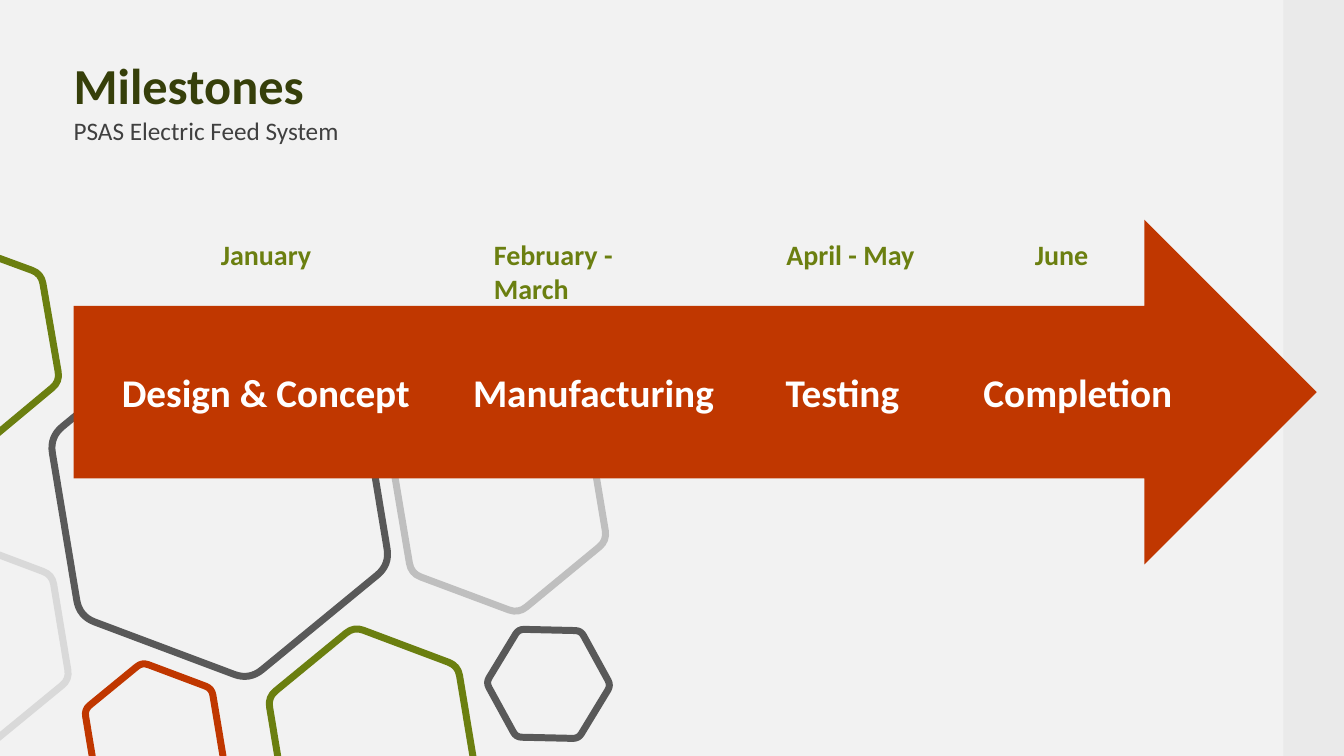
from math import cos, pi, sin, sqrt

from lxml.etree import SubElement
from pptx import Presentation
from pptx.dml.color import RGBColor
from pptx.enum.shapes import MSO_SHAPE
from pptx.enum.text import MSO_ANCHOR, PP_ALIGN
from pptx.oxml.ns import qn
from pptx.util import Inches, Pt

FONT = "Calibri"
BACKGROUND = RGBColor(0xF2, 0xF2, 0xF2)
STRIP = RGBColor(0xEA, 0xEA, 0xEA)
RUST = RGBColor(0xC0, 0x37, 0x00)
OLIVE = RGBColor(0x6B, 0x7F, 0x10)
DARK_OLIVE = RGBColor(0x36, 0x3F, 0x0A)
CHARCOAL = RGBColor(0x40, 0x40, 0x40)
DARK_GRAY = RGBColor(0x59, 0x59, 0x59)
EDGE_GRAY = RGBColor(0xA6, 0xA6, 0xA6)
MID_GRAY = RGBColor(0xBF, 0xBF, 0xBF)
LIGHT_GRAY = RGBColor(0xD9, 0xD9, 0xD9)
WHITE = RGBColor(0xFF, 0xFF, 0xFF)

CORNER = 0.09  # rounded part of each side, as a share of the side

# left, top, width, height, rotation, colour
BACK_HEXAGONS = [
    (3.83, 3.98, 2.25, 1.97, 20.5, MID_GRAY),
    (0.4, 3.41, 3.56, 3.12, 20.6, DARK_GRAY),
]
FRONT_HEXAGONS = [
    (2.6, 6.35, 2.18, 1.91, 20.6, OLIVE),
    (4.83, 6.25, 1.22, 1.07, 61.3, DARK_GRAY),
    (0.8, 6.66, 1.46, 1.28, 20.6, RUST),
    (-1.33, 5.46, 2.07, 1.82, 20.6, LIGHT_GRAY),
    (-1.5, 2.47, 2.15, 1.88, 20.2, OLIVE),
]
# text, left, width
PHASES = [
    ("Design & Concept", 1.09, 3.09),
    ("Manufacturing", 4.59, 2.59),
    ("Testing", 7.47, 1.77),
    ("Completion", 9.59, 2.2),
]
# text, left, width, alignment, left margin
DATES = [
    ("January", 1.4, 2.64, PP_ALIGN.LEFT, 0.79),
    ("February - March", 4.8, 2.1, PP_ALIGN.LEFT, 0.1),
    ("April - May", 7.7, 1.69, PP_ALIGN.LEFT, 0.1),
    ("June", 10.08, 0.9, PP_ALIGN.CENTER, 0.1),
]


def add_text(slide, text, left, top, width, height, *, size, color, bold=False,
             align=PP_ALIGN.LEFT, anchor=MSO_ANCHOR.TOP, margins=(0.1, 0.05, 0.1, 0.05),
             line_spacing=1.0):
    """Add a one-paragraph text box; margins are left, top, right, bottom."""
    sp = slide.shapes.add_textbox(Inches(left), Inches(top), Inches(width), Inches(height))
    tf = sp.text_frame
    tf.word_wrap = True
    tf.vertical_anchor = anchor
    tf.margin_left, tf.margin_top, tf.margin_right, tf.margin_bottom = map(Inches, margins)
    p = tf.paragraphs[0]
    p.alignment = align
    p.line_spacing = line_spacing
    r = p.add_run()
    r.text = text
    r.font.name = FONT
    r.font.size = Pt(size)
    r.font.bold = bold
    r.font.color.rgb = color


def add_filled_shape(slide, kind, left, top, width, height, color):
    sp = slide.shapes.add_shape(kind, Inches(left), Inches(top), Inches(width), Inches(height))
    sp.shadow.inherit = False
    sp.fill.solid()
    sp.fill.fore_color.rgb = color
    sp.line.fill.background()
    return sp


def add_edge_bars(slide):
    """Add the thin white and shaded bars along the right edge."""
    for left in (9.56, 9.51):
        bar = add_filled_shape(slide, MSO_SHAPE.RECTANGLE, left, 3.73, 7.5, 0.05, WHITE)
        bar.rotation = 90
    bar.fill.gradient()
    bar.fill.gradient_angle = 90
    for stop, color in zip(bar.fill.gradient_stops, (BACKGROUND, EDGE_GRAY)):
        stop.color.rgb = color


def add_path_step(path, tag, *points):
    step = SubElement(path, qn(tag))
    for x, y in points:
        SubElement(step, qn("a:pt"), x=str(int(x)), y=str(int(y)))


def round_corners(path, width, height):
    """Replace the path's steps by a hexagon with curved corners."""
    radius = height / sqrt(3)
    corners = [(width / 2 + radius * cos(i * pi / 3), height / 2 + radius * sin(i * pi / 3))
               for i in range(6)]

    def toward(a, b, share):
        return [m + share * (n - m) for m, n in zip(a, b)]

    for step in list(path):
        path.remove(step)
    for i, corner in enumerate(corners):
        start = toward(corner, corners[i - 1], CORNER)
        end = toward(corner, corners[(i + 1) % 6], CORNER)
        add_path_step(path, "a:lnTo" if i else "a:moveTo", start)
        add_path_step(path, "a:cubicBezTo", toward(start, corner, 2 / 3),
                      toward(end, corner, 2 / 3), end)
    add_path_step(path, "a:close")


def add_hexagon(slide, left, top, width, height, rotation, color):
    x, y, w, h = map(Inches, (left, top, width, height))
    builder = slide.shapes.build_freeform(x, y)
    builder.add_line_segments([(x + w, y), (x + w, y + h), (x, y + h)], close=True)
    sp = builder.convert_to_shape()
    round_corners(next(sp.element.iter(qn("a:path"))), w, h)
    sp.rotation = rotation
    sp.shadow.inherit = False
    sp.fill.background()
    sp.line.color.rgb = color
    sp.line.width = Pt(5)


def main():
    prs = Presentation()
    prs.slide_width, prs.slide_height = Inches(13.33), Inches(7.5)
    slide = prs.slides.add_slide(prs.slide_layouts[6])
    slide.background.fill.solid()
    slide.background.fill.fore_color.rgb = BACKGROUND

    add_edge_bars(slide)
    for hexagon in BACK_HEXAGONS:
        add_hexagon(slide, *hexagon)

    add_text(slide, "Milestones", 0.73, 0.64, 5.18, 0.47, size=36, color=DARK_OLIVE,
             bold=True, anchor=MSO_ANCHOR.MIDDLE, margins=(0, 0, 0, 0), line_spacing=0.9)
    add_text(slide, "PSAS Electric Feed System", 0.73, 1.18, 5.98, 0.39, size=18,
             color=CHARCOAL, margins=(0, 0, 0, 0), line_spacing=0.9)

    add_filled_shape(slide, MSO_SHAPE.RECTANGLE, 12.73, 0, 0.74, 7.5, STRIP)
    add_filled_shape(slide, MSO_SHAPE.RIGHT_ARROW, 0.73, 2.18, 12.33, 3.42, RUST)

    for text, left, width in PHASES:
        add_text(slide, text, left, 3.6, width, 0.57, size=28, color=WHITE, bold=True,
                 align=PP_ALIGN.CENTER)
    for text, left, width, align, margin in DATES:
        add_text(slide, text, left, 2.31, width, 0.44, size=20, color=OLIVE, bold=True,
                 align=align, margins=(margin, 0.05, 0.1, 0.05))

    for hexagon in FRONT_HEXAGONS:
        add_hexagon(slide, *hexagon)

    prs.save("out.pptx")


if __name__ == "__main__":
    main()
